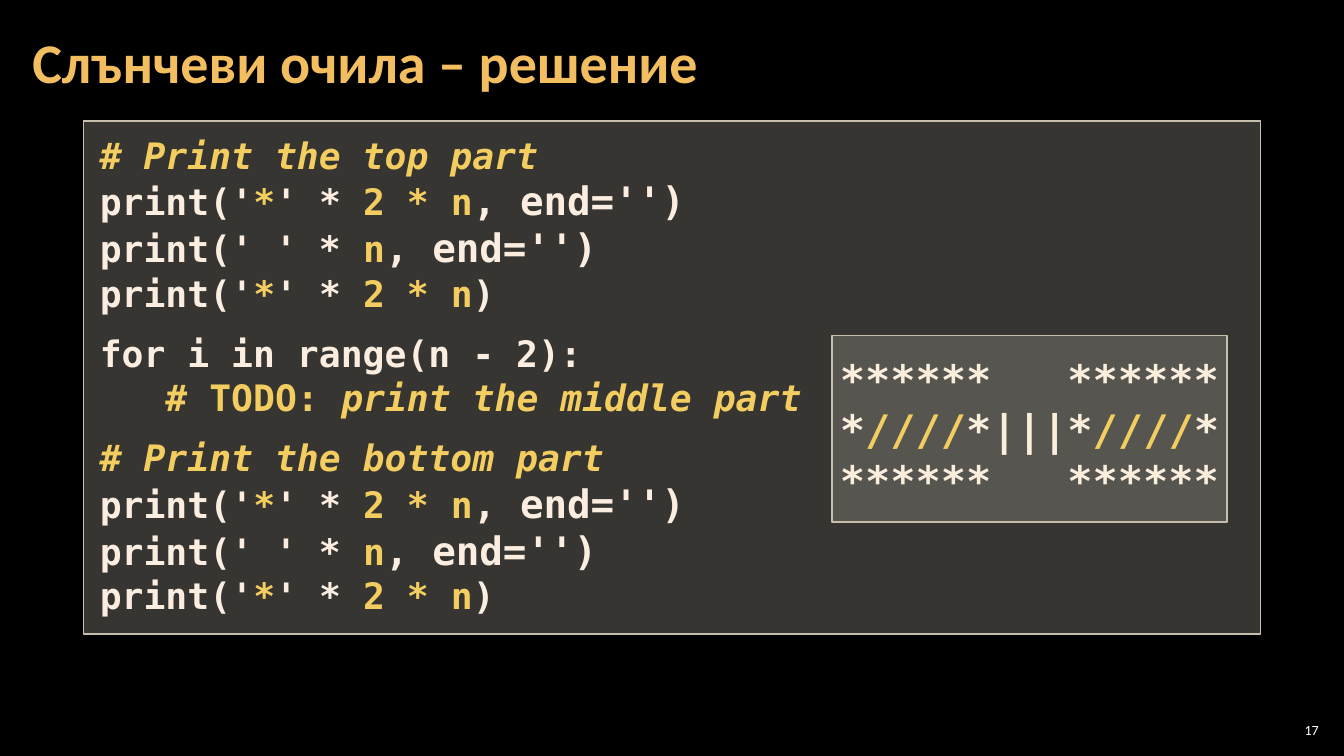
from lxml import etree
from pptx import Presentation, util as u
from pptx.dml.color import RGBColor
from pptx.enum import shapes, text
from pptx.oxml.ns import qn

YELLOW, CREAM, PALE = "F3CD60", "FBEEE1", "FBEEDC"
MONO = "DejaVu Sans Mono"


def write(para, words, color, size, font=MONO, bold=True, italic=False):
    span = para.add_run()
    span.text = words
    span.font.name, span.font.size = font, u.Pt(size)
    span.font.bold, span.font.italic = bold, italic
    span.font.color.rgb = RGBColor.from_string(color)


def add_panel(left, top, width, height, opacity):
    """Add a translucent rectangle with a thin beige outline."""
    panel = slide.shapes.add_shape(
        shapes.MSO_SHAPE.RECTANGLE, *map(u.Inches, (left, top, width, height)))
    panel.shadow.inherit = False
    panel.fill.solid()
    panel.fill.fore_color.rgb = RGBColor.from_string("D9D5C7")
    color = panel.element.spPr.find(qn("a:solidFill")).find(qn("a:srgbClr"))
    etree.SubElement(color, qn("a:alpha"), val=str(opacity * 1000))
    panel.line.color.rgb = RGBColor.from_string("C7BFAC")
    panel.line.width = u.Pt(1)
    panel.text_frame.word_wrap = True
    return panel.text_frame


deck = Presentation()
deck.slide_width, deck.slide_height = u.Inches(13.33), u.Inches(7.5)
slide = deck.slides.add_slide(deck.slide_layouts[5])
slide.background.fill.solid()
slide.background.fill.fore_color.rgb = RGBColor.from_string("000000")

# Title
title = slide.shapes.title
title.left, title.top = u.Inches(0.2), u.Inches(0.04)
title.width, title.height = u.Inches(10.47), u.Inches(1.21)
frame = title.text_frame
frame.vertical_anchor = text.MSO_ANCHOR.MIDDLE
frame.margin_left = frame.margin_right = u.Inches(0.12)
frame.margin_top = frame.margin_bottom = u.Inches(0.04)
para = frame.paragraphs[0]
para.alignment, para.line_spacing = text.PP_ALIGN.LEFT, 0.9
write(para, "Слънчеви очила – решение", "F3BE60", 40, font="Calibri")

# Code: each line is a list of (words, colour, size, italic)
stars = [("print('", CREAM, 26, False), ("*", YELLOW, 26, False),
         ("' * ", CREAM, 26, False), ("2 * n", YELLOW, 26, False)]
no_break = (", end='')", CREAM, 28, False)
edge_rows = [
    stars + [no_break],
    [("print(' ' * ", CREAM, 26, False), ("n", YELLOW, 26, False), no_break],
    stars + [(")", CREAM, 26, False)],
]
code = [
    [("# Print the top part", YELLOW, 26, True)],
    *edge_rows,
    [("for i in range(n - 2):", CREAM, 26, False)],
    [("   # TODO: ", YELLOW, 26, False), ("print the middle part", YELLOW, 26, True)],
    [("# Print the bottom part", YELLOW, 26, True)],
    *edge_rows,
]
block_starts = (4, 6)

frame = add_panel(0.83, 1.2, 11.67, 5.09, 25)
frame.vertical_anchor = text.MSO_ANCHOR.TOP
frame.auto_size = text.MSO_AUTO_SIZE.SHAPE_TO_FIT_TEXT
frame.margin_left = frame.margin_right = u.Inches(0.16)
frame.margin_top = frame.margin_bottom = u.Inches(0.12)
for row, line in enumerate(code):
    para = frame.add_paragraph() if row else frame.paragraphs[0]
    para.alignment = text.PP_ALIGN.LEFT
    if row in block_starts:
        para.space_before = u.Pt(12)
    for words, color, size, italic in line:
        write(para, words, color, size, italic=italic)

# Sunglasses: narrow side margins keep each 15-character row on one line
rim = [("******   ******", PALE)]
lenses = [("*", PALE), ("////", YELLOW), ("*|||*", PALE), ("////", YELLOW), ("*", PALE)]
frame = add_panel(8.25, 3.33, 3.92, 1.85, 20)
frame.vertical_anchor = text.MSO_ANCHOR.MIDDLE
frame.margin_left = frame.margin_right = u.Inches(0.04)
for row, line in enumerate([rim, lenses, rim]):
    para = frame.add_paragraph() if row else frame.paragraphs[0]
    para.alignment = text.PP_ALIGN.CENTER
    for words, color in line:
        write(para, words, color, 30)

# Slide number
box = slide.shapes.add_textbox(*map(u.Inches, (12.65, 7.14, 0.47, 0.21)))
frame = box.text_frame
frame.word_wrap = True
frame.vertical_anchor = text.MSO_ANCHOR.MIDDLE
frame.margin_left = frame.margin_right = u.Inches(0.04)
frame.margin_top = frame.margin_bottom = u.Inches(0.04)
frame.paragraphs[0].alignment = text.PP_ALIGN.RIGHT
write(frame.paragraphs[0], "17", "FFFFFF", 10, font="Calibri", bold=False)

deck.save("out.pptx")
